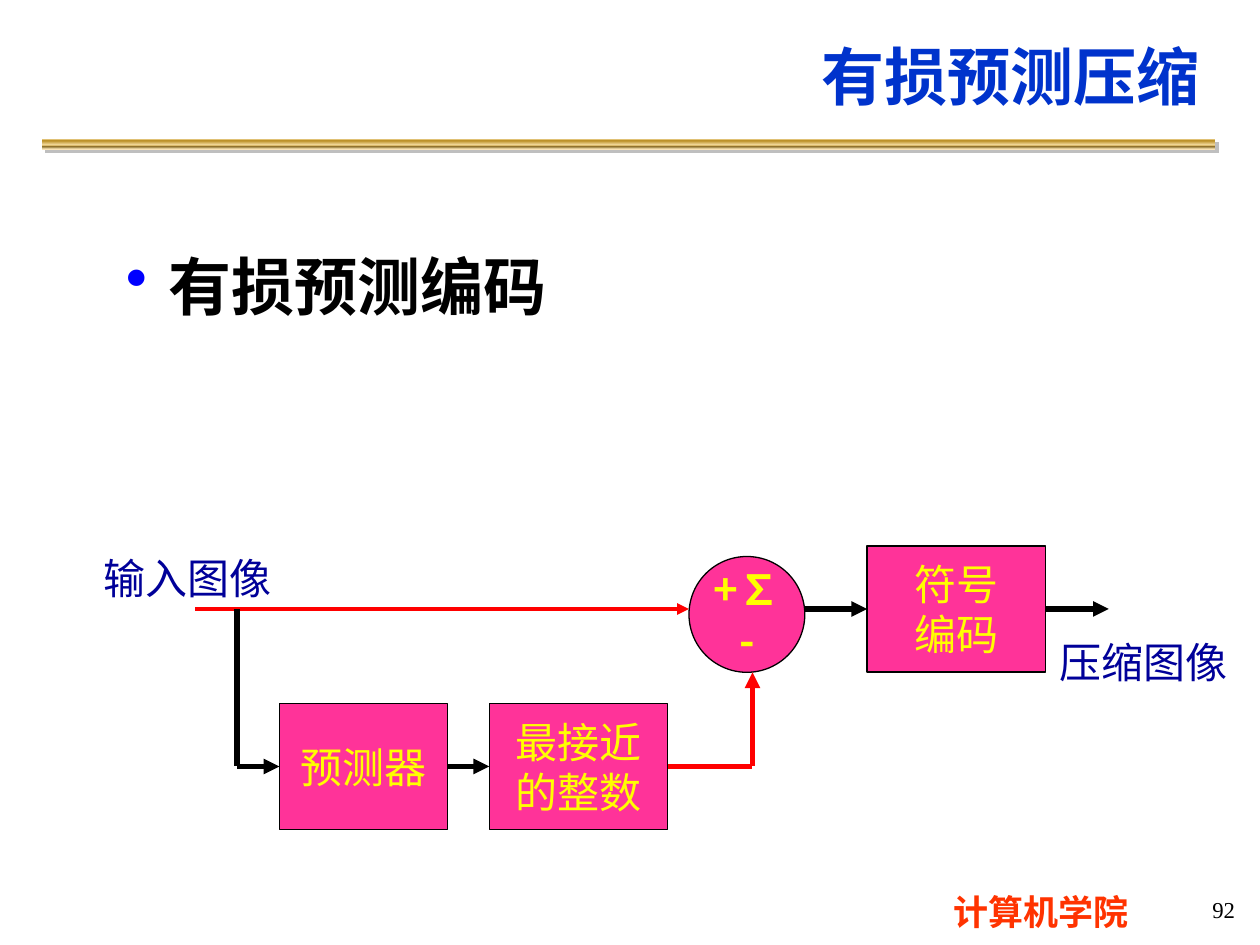
from dataclasses import dataclass, field

import lxml.etree
import pptx
import pptx.dml.color
import pptx.enum.shapes
import pptx.enum.text
import pptx.oxml
import pptx.oxml.ns
import pptx.util

Pt = pptx.util.Pt
RGB = pptx.dml.color.RGBColor.from_string
Align = pptx.enum.text.PP_ALIGN
Anchor = pptx.enum.text.MSO_ANCHOR
Shape = pptx.enum.shapes.MSO_SHAPE
qn = pptx.oxml.ns.qn
NS = pptx.oxml.ns.nsdecls("a")


@dataclass(frozen=True)
class Theme:
    cjk: str = "Noto Sans CJK SC"
    latin: str = "Times New Roman"
    title: str = "0033CC"
    bullet: str = "0000FF"
    footer: str = "FF3300"
    label: str = "000099"
    block: str = "FF3399"
    block_text: str = "FFFF00"
    ink: str = "000000"
    signal: str = "FF0000"
    shadow: str = "808080"
    gold: tuple = (
        (0, "FBE4AE"), (13, "BD922A"), (21, "BD922A"), (63, "FBE4AE"),
        (67, "BD922A"), (69, "835E17"), (82, "A28949"), (100, "FAE3B7"),
    )
    heading_size: float = 36
    block_size: float = 24
    footer_size: float = 20
    number_size: float = 13


THEME = Theme()


@dataclass(frozen=True)
class Style:
    size: float
    color: str
    bold: bool = False
    name: str = THEME.cjk
    align: Align = Align.CENTER
    frame: dict = field(default_factory=lambda: {
        "word_wrap": False, "vertical_anchor": Anchor.MIDDLE})


@dataclass(frozen=True)
class Text:
    box: tuple
    lines: tuple
    style: Style


@dataclass(frozen=True)
class Block:
    kind: Shape
    text: Text


@dataclass(frozen=True)
class Wire:
    start: tuple
    end: tuple
    color: str = THEME.ink
    width: float = 3
    arrow: bool = True


def set_all(obj, values: dict) -> None:
    for key, value in values.items():
        setattr(obj, key, value)


def write(sp, text: Text) -> None:
    st, tf = text.style, sp.text_frame
    set_all(tf, st.frame)
    for i, line in enumerate(text.lines):
        p = tf.add_paragraph() if i else tf.paragraphs[0]
        p.alignment = st.align
        r = p.add_run()
        r.text = line
        set_all(r.font, {"size": Pt(st.size), "bold": st.bold, "name": st.name})
        r.font.color.rgb = RGB(st.color)
        ea = lxml.etree.SubElement(r.font._element, qn("a:ea"))
        ea.set("typeface", st.name)


def add_text(s, text: Text):
    sp = s.shapes.add_textbox(*map(Pt, text.box))
    write(sp, text)
    return sp


def add_block(s, block: Block) -> None:
    sp = s.shapes.add_shape(block.kind, *map(Pt, block.text.box))
    sp.shadow.inherit = False
    sp.fill.solid()
    sp.fill.fore_color.rgb = RGB(THEME.block)
    sp.line.color.rgb = RGB(THEME.ink)
    sp.line.width = Pt(0.75)
    write(sp, block.text)


def add_wire(s, wire: Wire) -> None:
    c = s.shapes.add_connector(
        pptx.enum.shapes.MSO_CONNECTOR.STRAIGHT, *map(Pt, wire.start + wire.end))
    c.line.color.rgb = RGB(wire.color)
    c.line.width = Pt(wire.width)
    if wire.arrow:
        lxml.etree.SubElement(c.line._get_or_add_ln(), qn("a:tailEnd")).set("type", "triangle")
    lxml.etree.SubElement(c._element.spPr, qn("a:effectLst"))


def add_gold_bar(s, box: tuple) -> None:
    sp = s.shapes.add_shape(Shape.RECTANGLE, *map(Pt, box))
    sp.line.fill.background()
    stops = "".join(
        f'<a:gs pos="{pos * 1000}"><a:srgbClr val="{color}"/></a:gs>'
        for pos, color in THEME.gold)
    grad = pptx.oxml.parse_xml(
        f'<a:gradFill {NS} rotWithShape="1"><a:gsLst>{stops}</a:gsLst>'
        '<a:lin ang="5400000" scaled="1"/></a:gradFill>')
    shadow = pptx.oxml.parse_xml(
        f'<a:effectLst {NS}><a:outerShdw dist="{Pt(2.8)}" dir="2700000" algn="ctr" '
        f'rotWithShape="0"><a:srgbClr val="{THEME.shadow}"><a:alpha val="50000"/>'
        '</a:srgbClr></a:outerShdw></a:effectLst>')
    spPr = sp._element.spPr
    spPr.find(qn("a:prstGeom")).addnext(grad)
    spPr.append(shadow)


def add_bullet(p) -> None:
    pPr = p._p.get_or_add_pPr()
    set_all(p, {"line_spacing": 1.5})
    for key, value in {"marL": Pt(24.5), "indent": -Pt(24.5)}.items():
        pPr.set(key, str(value))
    color = lxml.etree.SubElement(pPr, qn("a:buClr"))
    lxml.etree.SubElement(color, qn("a:srgbClr")).set("val", THEME.bullet)
    lxml.etree.SubElement(pPr, qn("a:buChar")).set("char", "•")


WRAP = {"word_wrap": True}
MIDDLE = {**WRAP, "vertical_anchor": Anchor.MIDDLE}
TITLE = Style(THEME.heading_size, THEME.title, True, align=Align.RIGHT, frame=MIDDLE)
BODY = Style(THEME.heading_size, THEME.ink, True, align=Align.LEFT, frame=WRAP)
FOOTER = Style(THEME.footer_size, THEME.footer, True, frame=WRAP)
NUMBER = Style(THEME.number_size, THEME.ink, name=THEME.latin, align=Align.RIGHT, frame=MIDDLE)
LABEL = Style(THEME.block_size, THEME.label)
BLOCK = Style(THEME.block_size, THEME.block_text)
SUM = Style(THEME.block_size, THEME.block_text, True)

TOP_Y, LOW_Y = 348, 438
BRANCH_X, RETURN_X = 135.5, 430
SUM_X, SUM_Y, SUM_D = 393.7, 318, 66.2
CODER_X, PREDICT_X, ROUND_X = 495.5, 159.7, 279.6
WIDE, NARROW, TALL = 102, 96, 72

TEXTS = (
    Text((496, 505.5, 198, 31), ("计算机学院",), FOOTER),
    Text((76.3, 8.6, 616.3, 68.4), ("有损预测压缩",), TITLE),
    Text((575.3, 506.2, 137.5, 26.6), ("92",), NUMBER),
)
BLOCKS = (
    Block(Shape.OVAL, Text((SUM_X, SUM_Y, SUM_D, SUM_D), ("+∑", "-"), SUM)),
    Block(Shape.RECTANGLE, Text((CODER_X, 312, WIDE, TALL), ("符号", "编码"), BLOCK)),
    Block(Shape.RECTANGLE, Text((PREDICT_X, 402, NARROW, TALL), ("预测器",), BLOCK)),
    Block(Shape.RECTANGLE, Text((ROUND_X, 402, WIDE, TALL), ("最接近", "的整数"), BLOCK)),
)
WIRES = (
    Wire((111.6, TOP_Y), (SUM_X, TOP_Y), THEME.signal, 2.25),
    Wire((ROUND_X + WIDE, LOW_Y), (RETURN_X, LOW_Y), THEME.signal, arrow=False),
    Wire((RETURN_X, LOW_Y), (RETURN_X, SUM_Y + SUM_D), THEME.signal),
    Wire((BRANCH_X, TOP_Y), (BRANCH_X, LOW_Y), arrow=False),
    Wire((BRANCH_X, LOW_Y), (PREDICT_X, LOW_Y)),
    Wire((PREDICT_X + NARROW, LOW_Y), (ROUND_X, LOW_Y)),
    Wire((SUM_X + SUM_D, TOP_Y), (CODER_X, TOP_Y)),
    Wire((CODER_X + WIDE, TOP_Y), (633.6, TOP_Y)),
)
LABELS = (
    Text((598.3, 360, 110.2, 36), ("压缩图像",), LABEL),
    Text((51.8, 312, 110.2, 36), ("输入图像",), LABEL),
)


def main() -> None:
    prs = pptx.Presentation()
    set_all(prs, {"slide_width": Pt(720), "slide_height": Pt(540)})
    s = prs.slides.add_slide(prs.slide_layouts[6])
    add_gold_bar(s, (24, 79.4, 670.3, 5.8))
    body = add_text(s, Text((64.8, 116.6, 504, 84.2), ("有损预测编码",), BODY))
    add_bullet(body.text_frame.paragraphs[0])
    for items, draw in ((TEXTS, add_text), (BLOCKS, add_block),
                        (WIRES, add_wire), (LABELS, add_text)):
        for item in items:
            draw(s, item)
    prs.save("out.pptx")


if __name__ == "__main__":
    main()
